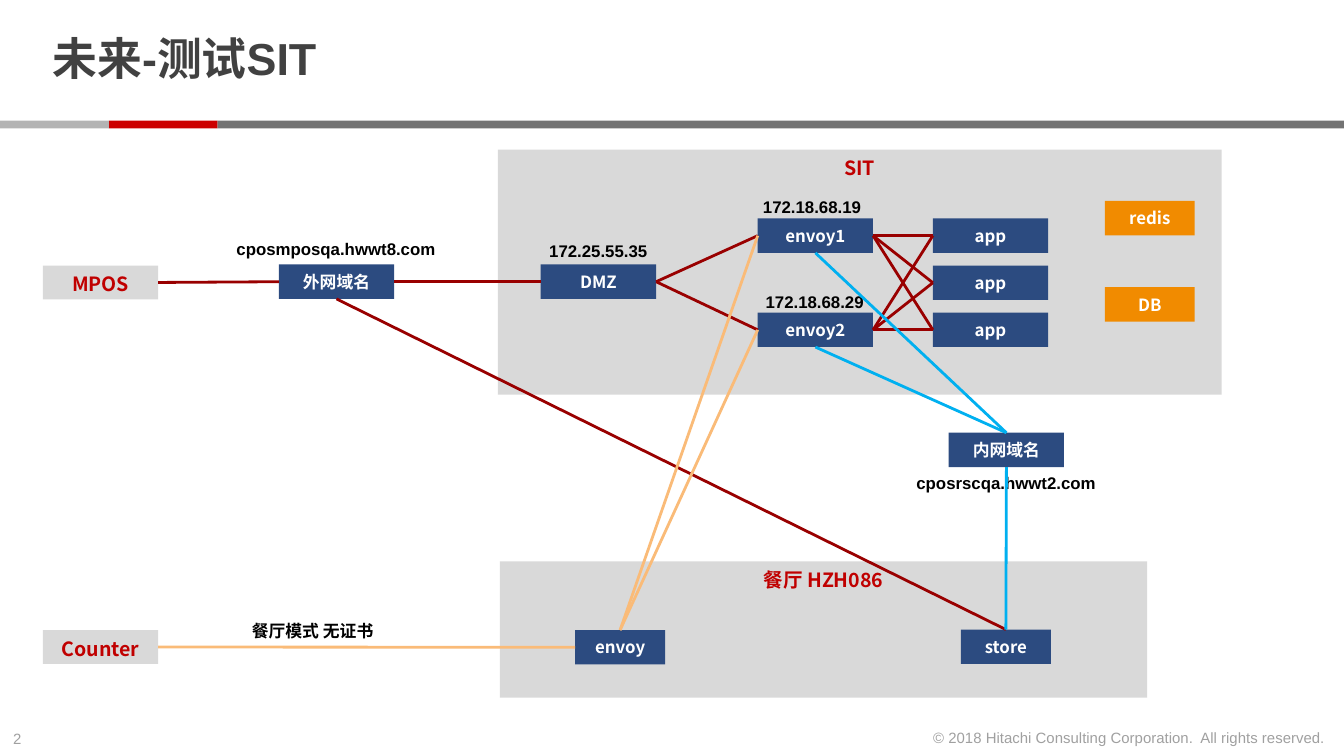
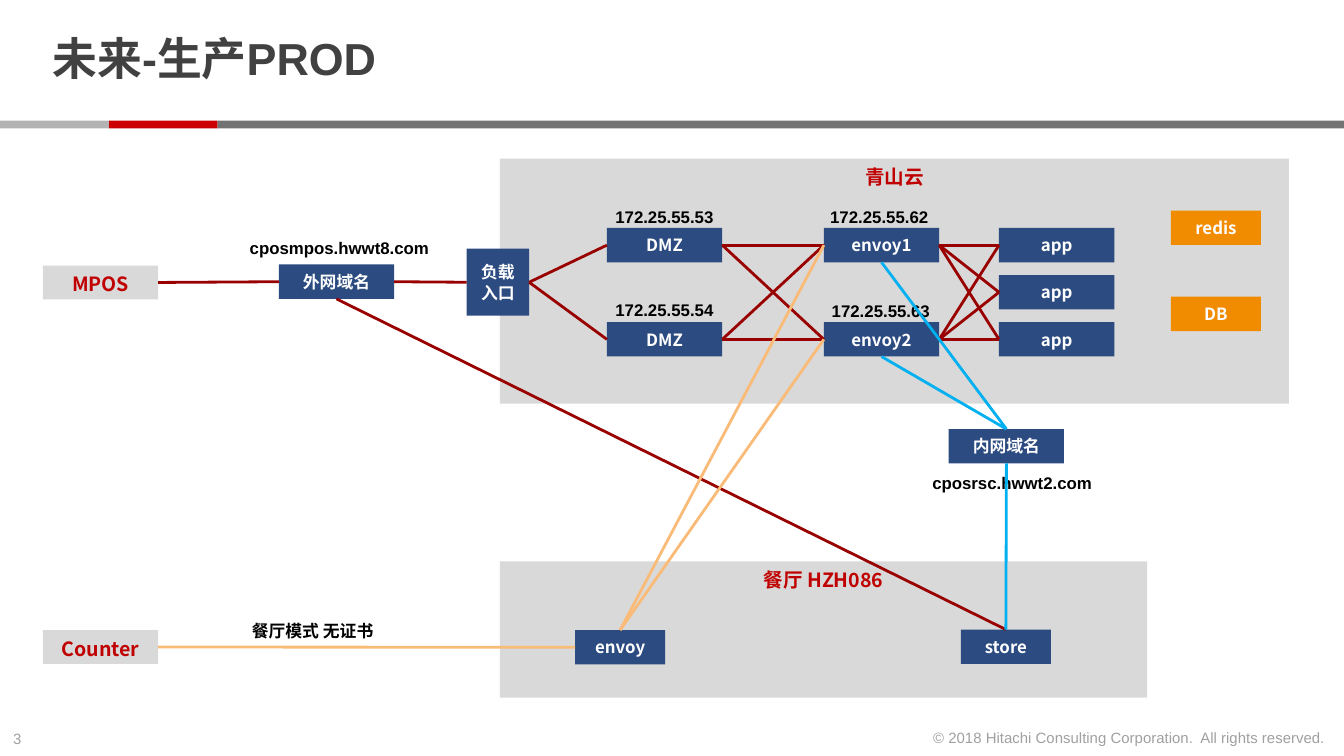
import dataclasses

import pptx
import pptx.dml.color
import pptx.enum.shapes
import pptx.enum.text
import pptx.oxml.ns
import pptx.util
from lxml import etree

Cm = pptx.util.Cm
Pt = pptx.util.Pt
Hue = pptx.dml.color.RGBColor.from_string
Align = pptx.enum.text.PP_ALIGN
Anchor = pptx.enum.text.MSO_ANCHOR


@dataclasses.dataclass
class Theme:
    ink: str = "414141"
    black: str = "000000"
    white: str = "FFFFFF"
    faint: str = "A0A0A0"
    silver: str = "B3B3B3"
    slate: str = "737373"
    red: str = "CC0000"
    zone: str = "D9D9D9"
    head: str = "C00000"
    navy: str = "2C4B80"
    amber: str = "F18B00"
    wine: str = "990000"
    sky: str = "00B0F0"
    peach: str = "FABB78"
    latin: str = "Arial"
    han: str = "Noto Sans CJK SC"
    title: float = 24
    group: float = 10.5
    node: float = 9
    foot: float = 8
    line: float = 1.5


theme = Theme()
WIDE, SMALL, TALL = 2.18, 1.7, 0.65
TOP, LEFT, BOTTOM, RIGHT = range(4)


def box(sheet, text, place, fill=None, color=theme.white, size=theme.node,
        font=theme.han, bold=True, align=Align.CENTER, anchor=Anchor.MIDDLE):
    spot = [Cm(n) for n in place]
    if fill:
        shape = sheet.shapes.add_shape(pptx.enum.shapes.MSO_SHAPE.RECTANGLE, *spot)
        shape.shadow.inherit = False
        shape.fill.solid()
        shape.fill.fore_color.rgb = Hue(fill)
        shape.line.fill.background()
    else:
        shape = sheet.shapes.add_textbox(*spot)
        shape.text_frame.word_wrap = False
        shape.text_frame.auto_size = pptx.enum.text.MSO_AUTO_SIZE.SHAPE_TO_FIT_TEXT
    if text:
        frame = shape.text_frame
        frame.vertical_anchor = anchor
        frame.text = text
        para = frame.paragraphs[0]
        para.alignment = align
        para.font.name = font
        para.font.size = Pt(size)
        para.font.bold = bold
        para.font.color.rgb = Hue(color)
    return shape


def link(sheet, start, side, end, port, color):
    line = sheet.shapes.add_connector(
        pptx.enum.shapes.MSO_CONNECTOR.STRAIGHT, 0, 0, 0, 0)
    line.begin_connect(start, side)
    line.end_connect(end, port)
    line.line.color.rgb = Hue(color)
    line.line.width = Pt(theme.line)
    props = line.element.find(pptx.oxml.ns.qn("p:spPr"))
    etree.SubElement(props, pptx.oxml.ns.qn("a:effectLst"))


plans = [
    {
        "title": "未来-测试SIT",
        "zone": ("SIT", (9.41, 2.83, 13.68, 4.63)),
        "grid": (14.32, 4.13),
        "gates": [5.0],
        "load": False,
        "inner": 8.18,
        "notes": [
            ("172.25.55.35", 10.13, 4.43, 2.39),
            ("172.18.68.19", 14.17, 3.6, 2.39),
            ("172.18.68.29", 14.22, 5.38, 2.39),
            ("cposmposqa.hwwt8.com", 4.22, 4.39, 4.32),
            ("cposrscqa.hwwt2.com", 17.07, 8.81, 3.94),
        ],
    },
    {
        "title": "未来-生产PROD",
        "zone": ("青山云", (9.45, 3.0, 14.91, 4.63)),
        "grid": (15.57, 4.31),
        "gates": [4.31, 6.09],
        "load": True,
        "inner": 8.11,
        "notes": [
            ("172.25.55.53", 11.38, 3.78, 2.39),
            ("172.25.55.54", 11.38, 5.54, 2.39),
            ("172.25.55.62", 15.44, 3.78, 2.39),
            ("172.25.55.63", 15.47, 5.56, 2.39),
            ("cposmpos.hwwt8.com", 4.47, 4.37, 3.94),
            ("cposrsc.hwwt2.com", 17.37, 8.81, 3.56),
        ],
    },
]

deck = pptx.Presentation()
deck.slide_width = Cm(25.4)
deck.slide_height = Cm(14.29)
layout = deck.slide_layouts.get_by_name("Title Only")
for holder in list(layout.placeholders):
    if holder.placeholder_format.idx >= 10:
        layout.shapes.element.remove(holder.element)
sheets = [deck.slides.add_slide(layout) for plan in plans]

bands = [
    box(sheets[0], "", (left, 2.28, width, 0.15), fill)
    for left, width, fill in [
        (4.11, 21.29, theme.slate),
        (2.06, 2.05, theme.red),
        (0, 2.06, theme.silver),
    ]
]
bands.append(box(
    sheets[0], "© 2018 Hitachi Consulting Corporation.  All rights reserved.",
    (17.27, 13.64, 8.03, 0.62), None, theme.faint, theme.foot, theme.latin,
    False, Align.RIGHT, Anchor.TOP))
for band in bands:
    layout.shapes.element.append(band.element)

for page, (sheet, plan) in enumerate(zip(sheets, plans), 2):
    title = sheet.shapes.title
    title.left, title.top, title.width, title.height = (
        Cm(n) for n in (0.74, 0.15, 19.58, 2.03))
    frame = title.text_frame
    frame.text = plan["title"]
    frame.vertical_anchor = Anchor.MIDDLE
    frame.auto_size = pptx.enum.text.MSO_AUTO_SIZE.NONE
    frame.margin_top = frame.margin_bottom = 0
    para = frame.paragraphs[0]
    para.alignment = Align.LEFT
    para.line_spacing = 0.85
    para.font.name = theme.latin
    para.font.size = Pt(theme.title)
    para.font.bold = True
    para.font.color.rgb = Hue(theme.ink)
    box(sheet, str(page), (0, 13.66, 0.86, 0.61), None, theme.faint, theme.foot,
        theme.latin, False, Align.LEFT, Anchor.TOP)

    mpos, counter = [
        box(sheet, text, place, theme.zone, theme.head, theme.group, anchor=Anchor.TOP)
        for text, place in [
            plan["zone"],
            ("餐厅 HZH086", (9.45, 10.61, 12.23, 2.58)),
            ("MPOS", (0.81, 5.02, WIDE, 0.64)),
            ("Counter", (0.81, 11.91, WIDE, 0.64)),
        ]
    ][2:]

    left, top = plan["grid"]
    step = 0.89
    for row, text in enumerate(["redis", "DB"]):
        box(sheet, text, (left + 6.56, top - 0.33 + 1.63 * row, SMALL, TALL), theme.amber)
    gates = [box(sheet, "DMZ", (left - 4.1, y, WIDE, TALL), theme.navy)
             for y in plan["gates"]]
    envoys = [box(sheet, f"envoy{n + 1}", (left, top + 2 * step * n, WIDE, TALL), theme.navy)
              for n in range(2)]
    apps = [box(sheet, "app", (left + 3.31, top + step * n, WIDE, TALL), theme.navy)
            for n in range(3)]
    outer = box(sheet, "外网域名", (5.27, 5.0, WIDE, TALL), theme.navy)
    inner = box(sheet, "内网域名", (17.93, plan["inner"], WIDE, TALL), theme.navy)
    local = box(sheet, "envoy", (10.87, 11.91, SMALL, TALL), theme.navy)
    store = box(sheet, "store", (18.16, 11.9, SMALL, TALL), theme.navy)

    for text, x, y, width in plan["notes"] + [("餐厅模式 无证书", 4.51, 11.6, 2.95)]:
        box(sheet, text, (x, y, width, 0.64), None, theme.black, theme.node,
            theme.latin, True, Align.LEFT, Anchor.TOP)

    entry = outer
    if plan["load"]:
        entry = box(sheet, "负载入口", (8.82, 4.7, 1.18, 1.27), theme.navy)
        link(sheet, outer, RIGHT, entry, LEFT, theme.wine)
    link(sheet, mpos, RIGHT, outer, LEFT, theme.wine)
    for gate in gates:
        link(sheet, entry, RIGHT, gate, LEFT, theme.wine)
    for envoy in envoys:
        for gate in gates:
            link(sheet, gate, RIGHT, envoy, LEFT, theme.wine)
        for app in apps:
            link(sheet, envoy, RIGHT, app, LEFT, theme.wine)
    link(sheet, outer, BOTTOM, store, TOP, theme.wine)
    link(sheet, inner, BOTTOM, store, TOP, theme.sky)
    link(sheet, counter, RIGHT, local, LEFT, theme.peach)
    for envoy in envoys:
        link(sheet, envoy, BOTTOM, inner, TOP, theme.sky)
        link(sheet, local, TOP, envoy, LEFT, theme.peach)

deck.save("out.pptx")
